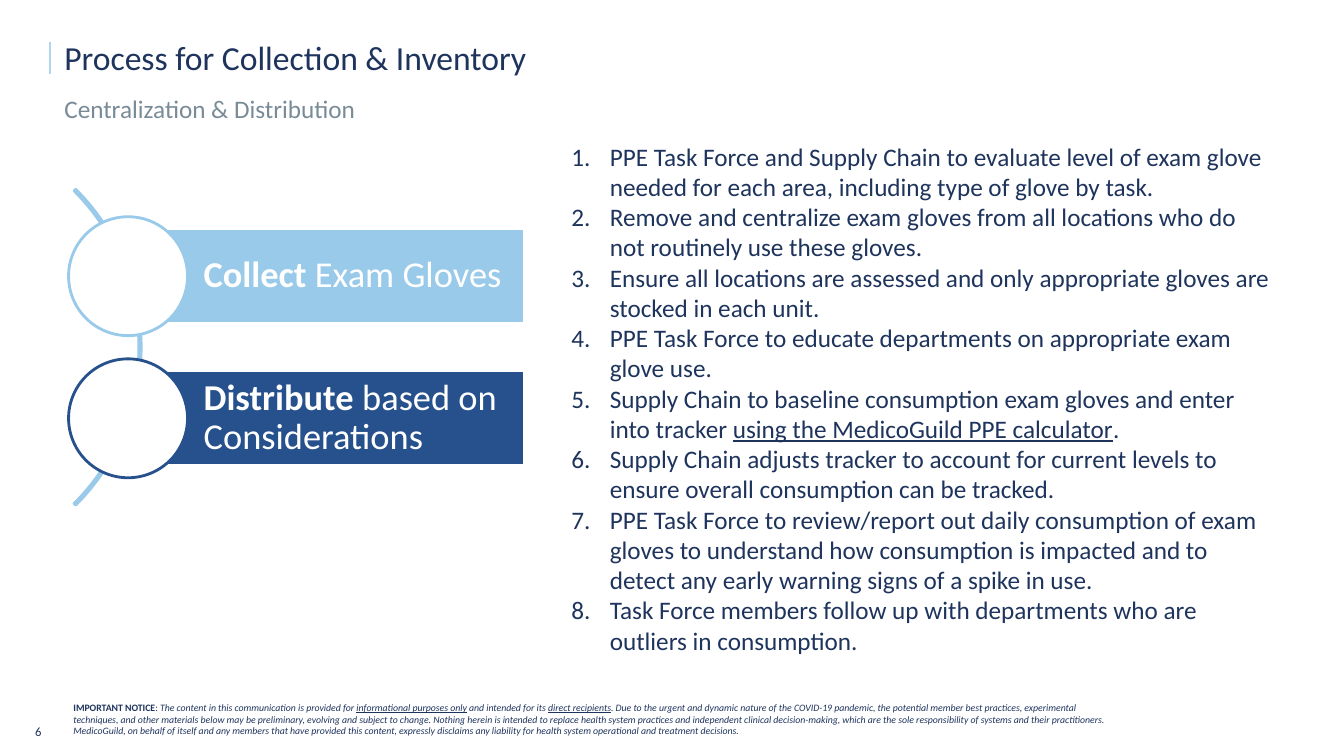
from dataclasses import dataclass

from lxml import etree
from pptx import Presentation
from pptx.dml.color import RGBColor
from pptx.enum.shapes import MSO_CONNECTOR, MSO_SHAPE
from pptx.enum.text import MSO_ANCHOR, MSO_AUTO_SIZE, PP_ALIGN
from pptx.oxml.ns import qn
from pptx.util import Inches, Pt

STRAIGHT = MSO_CONNECTOR.STRAIGHT
ARC, RECTANGLE, OVAL = MSO_SHAPE.BLOCK_ARC, MSO_SHAPE.RECTANGLE, MSO_SHAPE.OVAL
TOP, MIDDLE = MSO_ANCHOR.TOP, MSO_ANCHOR.MIDDLE
GROW, FIXED = MSO_AUTO_SIZE.SHAPE_TO_FIT_TEXT, MSO_AUTO_SIZE.NONE
LEFT = PP_ALIGN.LEFT

FONT = "Calibri"
COLORS = {
    "navy": "1E345D",
    "gray": "798B97",
    "rule": "B0D5EF",
    "sky": "99CAEA",
    "blue": "27518C",
    "white": "FFFFFF",
}
CIRCLE = 1.18
BAR_LEFT, BAR_WIDTH, BAR_HEIGHT = 1.27, 3.93, 0.94
HANGING = 0.38


@dataclass(frozen=True)
class Span:
    text: str
    bold: bool = False
    italic: bool = False
    underline: bool = False


@dataclass(frozen=True)
class Stage:
    verb: str
    rest: str
    color: str
    center: float


STAGES = [
    Stage("Collect ", "Exam Gloves", "sky", 2.74),
    Stage("Distribute ", "based on Considerations", "blue", 4.15),
]

STEPS = [
    [Span("PPE Task Force and Supply Chain to evaluate level of exam glove needed for each area, "
          "including type of glove by task.")],
    [Span("Remove and centralize exam gloves from all locations who do not routinely use these gloves.")],
    [Span("Ensure all locations are assessed and only appropriate gloves are stocked in each unit.")],
    [Span("PPE Task Force to educate departments on appropriate exam glove use.")],
    [Span("Supply Chain to baseline consumption exam gloves and enter into tracker "),
     Span("using the MedicoGuild PPE calculator", underline=True),
     Span(".")],
    [Span("Supply Chain adjusts tracker to account for current levels to ensure overall consumption "
          "can be tracked.")],
    [Span("PPE Task Force to review/report out daily consumption of exam gloves to understand how "
          "consumption is impacted and to detect any early warning signs of a spike in use.")],
    [Span("Task Force members follow up with departments who are outliers in consumption.")],
]

NOTICE = [
    Span("IMPORTANT NOTICE", bold=True),
    Span(": "),
    Span("The content in this communication is provided for ", italic=True),
    Span("informational purposes only", italic=True, underline=True),
    Span(" and intended for its ", italic=True),
    Span("direct recipients", italic=True, underline=True),
    Span(". Due to the urgent and dynamic nature of the COVID-19 pandemic, the potential member best "
         "practices, experimental techniques, and other materials below may be preliminary, evolving "
         "and subject to change. Nothing herein is intended to replace health system practices and "
         "independent clinical decision-making, which are the sole responsibility of systems and "
         "their practitioners. MedicoGuild, on behalf of itself and any members that have provided "
         "this content, expressly disclaims any liability for health system operational and "
         "treatment decisions.", italic=True),
]


def rgb(name: str) -> RGBColor:
    return RGBColor.from_string(COLORS[name])


def number(para) -> None:
    properties = para._p.get_or_add_pPr()
    properties.set("marL", str(Inches(HANGING)))
    properties.set("indent", str(-Inches(HANGING)))
    etree.SubElement(properties, qn("a:buFont"), typeface="+mj-lt")
    etree.SubElement(properties, qn("a:buAutoNum"), type="arabicPeriod")


def write(box, paragraphs: list[list[Span]], *, size: float, color: str = "navy",
          anchor=TOP, fit=FIXED, numbered: bool = False, spacing: float = 1.0) -> None:
    frame = box.text_frame
    frame.word_wrap = True
    frame.auto_size = fit
    frame.vertical_anchor = anchor
    for index, spans in enumerate(paragraphs):
        para = frame.add_paragraph() if index else frame.paragraphs[0]
        para.alignment = LEFT
        para.line_spacing = spacing
        if numbered:
            number(para)
        for span in spans:
            run = para.add_run()
            run.text = span.text
            font = run.font
            font.name, font.size = FONT, Pt(size)
            font.bold, font.italic, font.underline = span.bold, span.italic, span.underline
            font.color.rgb = rgb(color)


def add_text(page, left: float, top: float, width: float, height: float,
             paragraphs: list[list[Span]], **style) -> None:
    box = page.shapes.add_textbox(Inches(left), Inches(top), Inches(width), Inches(height))
    write(box, paragraphs, **style)


def add_shape(page, kind, left: float, top: float, width: float, height: float, *,
              line: str, fill: str | None = None):
    shape = page.shapes.add_shape(kind, Inches(left), Inches(top), Inches(width), Inches(height))
    shape.shadow.inherit = False
    if fill:
        shape.fill.solid()
        shape.fill.fore_color.rgb = rgb(fill)
    else:
        shape.fill.background()
    shape.line.color.rgb = rgb(line)
    shape.line.width = Pt(2)
    return shape


def add_title_rule(page) -> None:
    rule = page.shapes.add_connector(STRAIGHT, Inches(0.5), Inches(0.42), Inches(0.5), Inches(0.73))
    rule.line.color.rgb = rgb("rule")
    rule.line.width = Pt(1.5)
    etree.SubElement(rule._element.spPr, qn("a:effectLst"))


def add_arc(page) -> None:
    arc = add_shape(page, ARC, -3.03, 1.23, 4.43, 4.43, line="sky")
    for index, value in enumerate((189, 27, 0.005)):
        arc.adjustments[index] = value


def add_stage(page, stage: Stage) -> None:
    bar = add_shape(page, RECTANGLE, BAR_LEFT, stage.center - BAR_HEIGHT / 2,
                    BAR_WIDTH, BAR_HEIGHT, line="white", fill=stage.color)
    frame = bar.text_frame
    frame.margin_left = Inches(0.75)
    frame.margin_top = frame.margin_right = frame.margin_bottom = Inches(0.07)
    write(bar, [[Span(stage.verb, bold=True), Span(stage.rest)]],
          size=26, color="white", anchor=MIDDLE, spacing=0.9)
    add_shape(page, OVAL, BAR_LEFT - CIRCLE / 2, stage.center - CIRCLE / 2,
              CIRCLE, CIRCLE, line=stage.color, fill="white")


def main() -> None:
    deck = Presentation()
    deck.slide_width, deck.slide_height = Inches(13.33), Inches(7.5)
    page = deck.slides.add_slide(deck.slide_layouts[6])

    add_text(page, 0.25, 7.08, 2.55, 0.35, [[Span("6")]], size=9, anchor=MIDDLE)
    add_title_rule(page)
    add_text(page, 0.54, 0.32, 12.2, 0.55, [[Span("Process for Collection & Inventory")]], size=24)
    add_text(page, 0.54, 0.88, 12.2, 0.39, [[Span("Centralization & Distribution")]],
             size=18, color="gray")
    add_text(page, 5.57, 1.35, 7.14, 5.55, STEPS, size=18, fit=GROW, numbered=True)
    add_arc(page)
    for stage in STAGES:
        add_stage(page, stage)
    add_text(page, 0.63, 6.91, 10.55, 0.59, [NOTICE], size=7, fit=GROW)

    deck.save("out.pptx")


if __name__ == "__main__":
    main()
